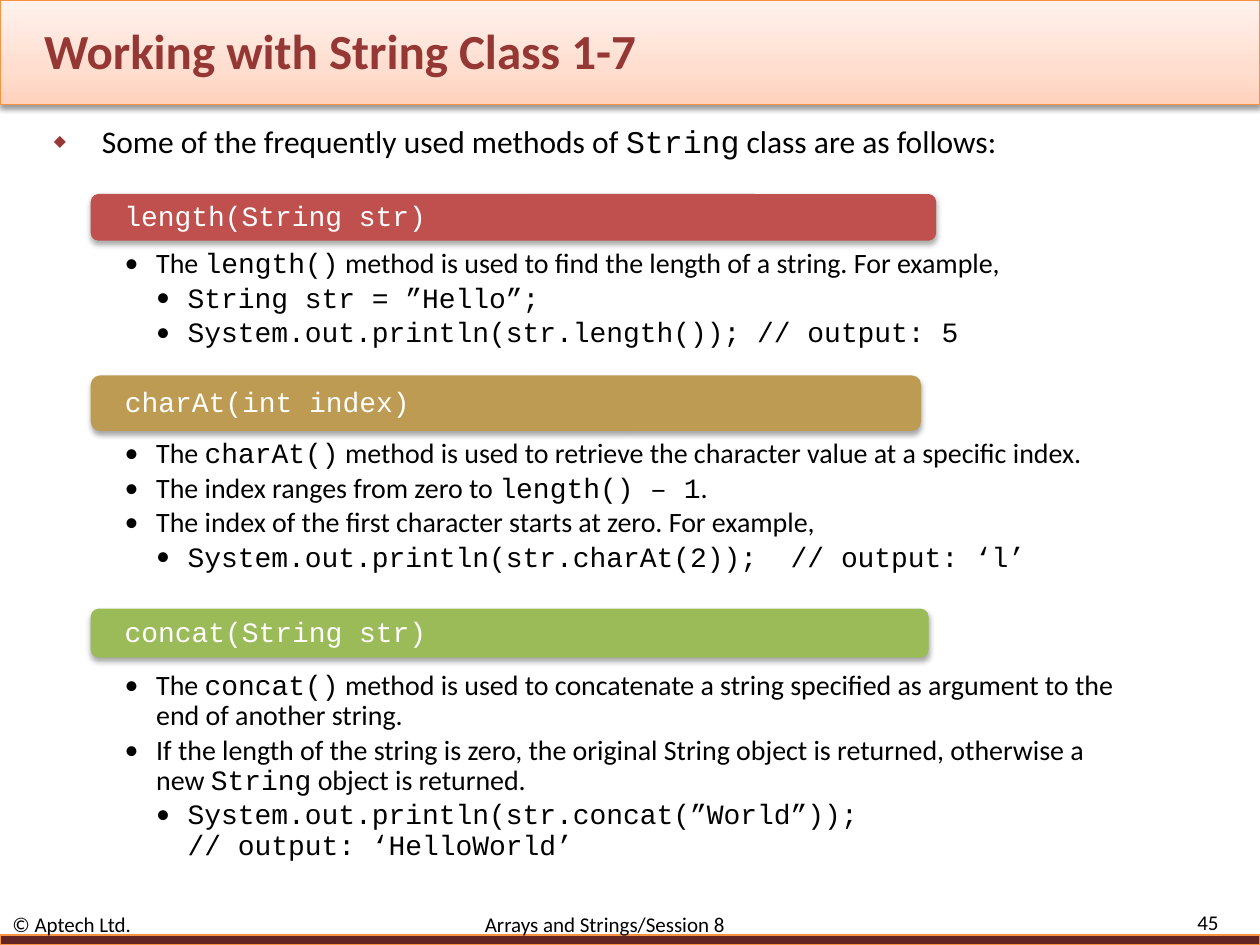
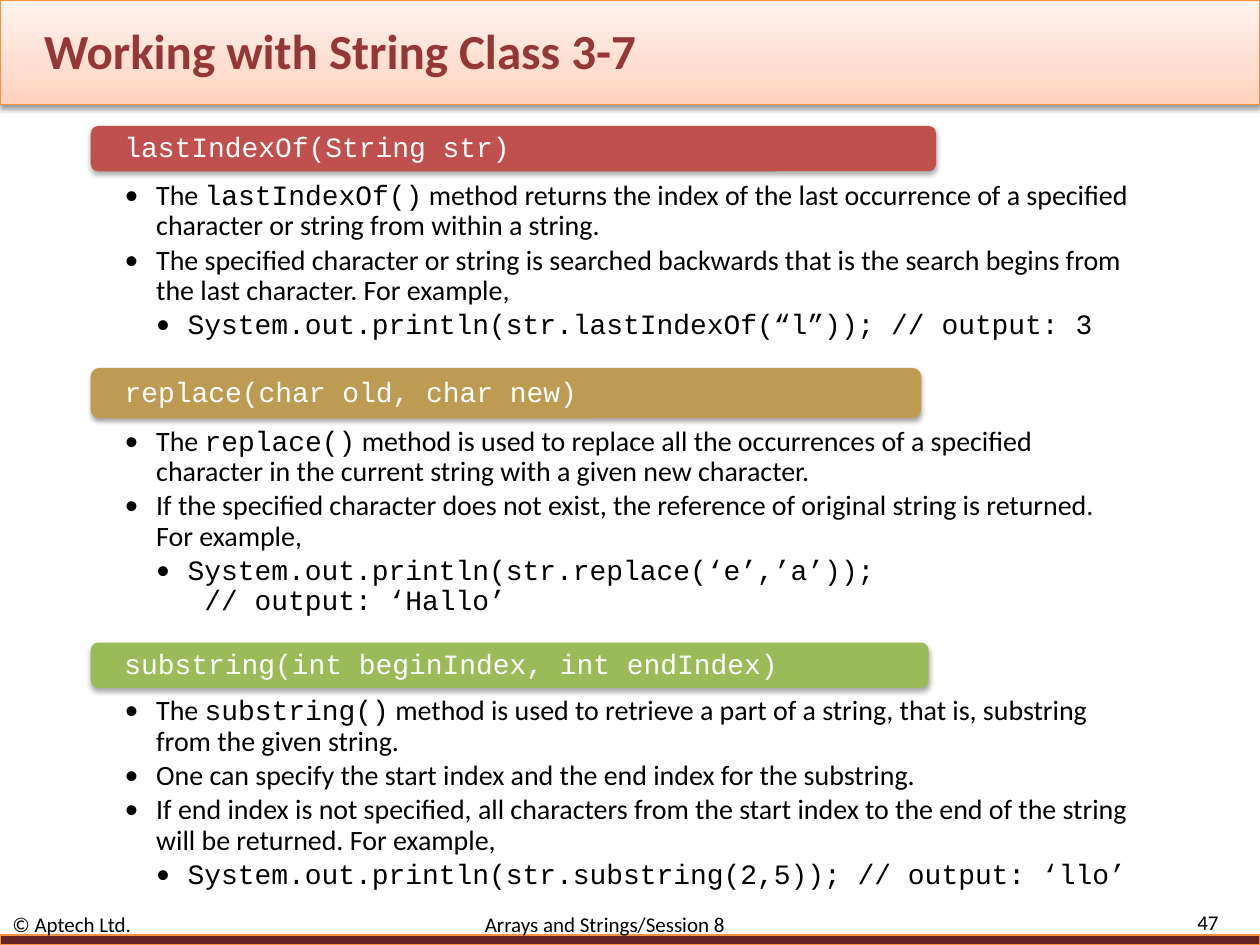
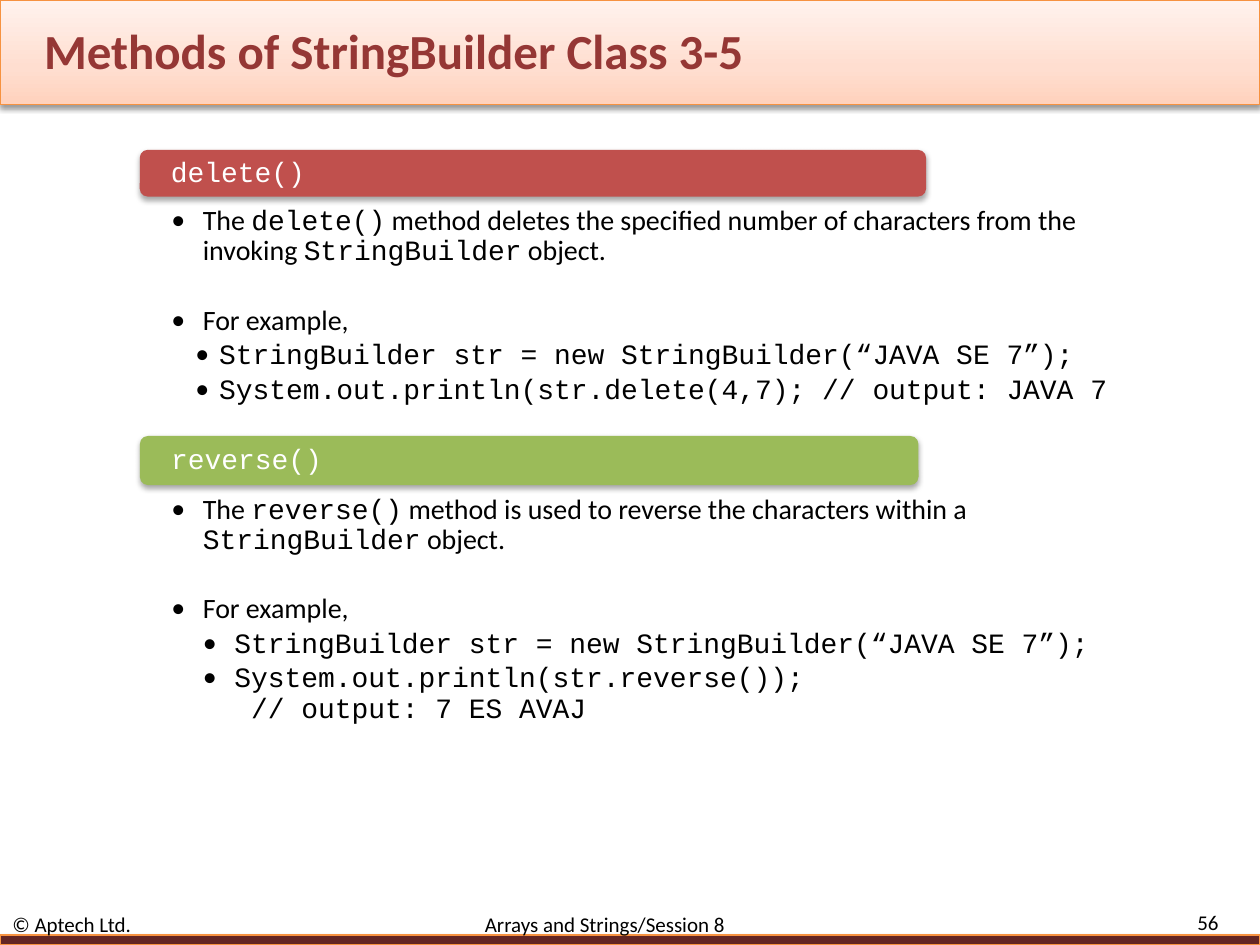
from dataclasses import dataclass

from lxml.etree import SubElement
from pptx import Presentation
from pptx.dml.color import RGBColor
from pptx.enum.shapes import MSO_SHAPE
from pptx.enum.text import MSO_ANCHOR, MSO_AUTO_SIZE, PP_ALIGN
from pptx.oxml.ns import qn
from pptx.util import Inches, Pt


@dataclass(frozen=True)
class Theme:
    text_font: str = "Calibri"
    code_font: str = "Courier New"
    title_size: float = 28
    intro_size: float = 18
    body_size: float = 16
    footer_size: float = 12
    black: str = "000000"
    white: str = "FFFFFF"
    title: str = "953735"
    diamond: str = "973735"
    band_line: str = "F69240"
    bottom_band: str = "632523"
    top_band: tuple = ((0, "FFD2BD"), (35, "FFDED0"), (100, "FFF2ED"))
    red: str = "C0504D"
    gold: str = "BD9B53"
    green: str = "9BBB59"


THEME = Theme()


@dataclass(frozen=True)
class Column:
    """Horizontal layout shared by the method sections of a slide."""
    header_left: float
    header_inset: float
    panel_left: float
    panel_width: float
    panel_inset: float
    panel_top_inset: float


@dataclass(frozen=True)
class Method:
    """A coloured signature bar with notes and code; backticks mark code words."""
    signature: str
    colour: str
    header: tuple  # top, width, height
    panel: tuple  # top, height
    notes: tuple
    code: tuple
    code_indent: tuple = (0.5, 0.25)
    gap_before_last_note: float = 0


WIDE = Column(0.72, 0.25, 0.25, 9.5, 0.74, 0.27)
WIDE_TIGHT = Column(0.72, 0.25, 0.25, 9.5, 0.74, 0.25)
NARROW = Column(1.11, 0.23, 0.67, 8.83, 0.69, 0.27)

STRING_BASICS = (
    Method("length(String str)", THEME.red, (1.54, 6.71, 0.37), (1.71, 1.2),
           ("The `length()` method is used to find the length of a string. For example,",),
           ("String str = ”Hello”;",
            "System.out.println(str.length()); // output: 5")),
    Method("charAt(int index)", THEME.gold, (2.98, 6.59, 0.44), (3.22, 1.53),
           ("The `charAt()` method is used to retrieve the character value at a specific index.",
            "The index ranges from zero to `length() – 1`.",
            "The index of the first character starts at zero. For example,"),
           ("System.out.println(str.charAt(2));  // output: ‘l’",)),
    Method("concat(String str)", THEME.green, (4.83, 6.65, 0.39), (5.06, 1.94),
           ("The `concat()` method is used to concatenate a string specified as argument "
            "to the end of another string.",
            "If the length of the string is zero, the original String object is returned, "
            "otherwise a new `String` object is returned."),
           ("System.out.println(str.concat(”World”));\n// output: ‘HelloWorld’",)),
)

STRING_EDITING = (
    Method("lastIndexOf(String str)", THEME.red, (1, 6.71, 0.36), (1.19, 1.67),
           ("The `lastIndexOf()` method returns the index of the last occurrence of a "
            "specified character or string from within a string.",
            "The specified character or string is searched backwards that is the search "
            "begins from the last character. For example,"),
           ("System.out.println(str.lastIndexOf(“l”)); // output: 3",)),
    Method("replace(char old, char new)", THEME.gold, (2.92, 6.59, 0.4), (3.14, 1.89),
           ("The `replace()` method is used to replace all the occurrences of a specified "
            "character in the current string with a given new character.",
            "If the specified character does not exist, the reference of original string "
            "is returned. For example,"),
           ("System.out.println(str.replace(‘e’,’a’));\n // output: ‘Hallo’",)),
    Method("substring(int beginIndex, int endIndex)", THEME.green,
           (5.1, 6.65, 0.36), (5.28, 1.97),
           ("The `substring()` method is used to retrieve a part of a string, that is, "
            "substring from the given string.",
            "One can specify the start index and the end index for the substring.",
            "If end index is not specified, all characters from the start index to the end "
            "of the string will be returned. For example,"),
           ("System.out.println(str.substring(2,5)); // output: ‘llo’",)),
)

BUILDER_METHODS = (
    Method("delete()", THEME.red, (1.19, 6.24, 0.37), (1.37, 2.03),
           ("The `delete()` method deletes the specified number of characters from the "
            "invoking `StringBuilder` object.",
            "For example,"),
           ("StringBuilder str = new StringBuilder(“JAVA SE 7”);",
            "System.out.println(str.delete(4,7); // output: JAVA 7"),
           code_indent=(0.38, 0.19), gap_before_last_note=20),
    Method("reverse()", THEME.green, (3.46, 6.18, 0.39), (3.66, 2.23),
           ("The `reverse()` method is used to reverse the characters within a "
            "`StringBuilder` object.",
            "For example,"),
           ("StringBuilder str = new StringBuilder(“JAVA SE 7”);",
            "System.out.println(str.reverse());\n // output: 7 ES AVAJ"),
           gap_before_last_note=20),
)


def rgb(colour):
    return RGBColor.from_string(colour)


def set_attributes(target, **values):
    for name, value in values.items():
        setattr(target, name, value)


def format_frame(frame, anchor=MSO_ANCHOR.TOP, insets=(0.1, 0.05, 0.1, 0.05)):
    left, top, right, bottom = map(Inches, insets)
    set_attributes(frame, word_wrap=True, auto_size=MSO_AUTO_SIZE.NONE,
                   vertical_anchor=anchor, margin_left=left, margin_top=top,
                   margin_right=right, margin_bottom=bottom)
    return frame


def add_text_frame(slide, box, **options):
    return format_frame(slide.shapes.add_textbox(*map(Inches, box)).text_frame, **options)


def add_text(paragraph, text, size, colour=THEME.black):
    """Add runs, setting words between backticks in the code font."""
    for index, part in enumerate(text.split("`")):
        font_name = THEME.code_font if index % 2 else THEME.text_font
        for line_number, line in enumerate(part.split("\n")):
            if line_number:
                paragraph.add_line_break()
            if line:
                run = paragraph.add_run()
                run.text = line
                set_attributes(run.font, name=font_name, size=Pt(size))
                run.font.color.rgb = rgb(colour)


def add_bullet(paragraph, margin, hanging, character="•", colour=None, percent=None):
    properties = paragraph._p.get_or_add_pPr()
    properties.set("marL", str(Inches(margin)))
    properties.set("indent", str(-Inches(hanging)))
    if colour:
        SubElement(SubElement(properties, qn("a:buClr")), qn("a:srgbClr"), val=colour)
    if percent:
        SubElement(properties, qn("a:buSzPct"), val=str(percent * 1000))
    SubElement(properties, qn("a:buFont"), typeface=THEME.text_font)
    SubElement(properties, qn("a:buChar"), char=character)


def add_shadow(shape, distance, opacity):
    shape.shadow.inherit = False
    effects = shape.element.spPr.find(qn("a:effectLst"))
    shadow = SubElement(effects, qn("a:outerShdw"), blurRad=str(Pt(3.1)),
                        dist=str(Pt(distance)), dir="5400000", rotWithShape="0")
    colour = SubElement(shadow, qn("a:srgbClr"), val=THEME.black)
    SubElement(colour, qn("a:alpha"), val=str(opacity * 1000))


def add_shadowed_shape(slide, kind, box, fill=None, line=None, distance=1.8, opacity=35):
    shape = slide.shapes.add_shape(kind, *map(Inches, box))
    if fill:
        shape.fill.solid()
        shape.fill.fore_color.rgb = rgb(fill)
    if line:
        shape.line.color.rgb = rgb(line)
        shape.line.width = Pt(0.75)
    else:
        shape.line.fill.background()
    add_shadow(shape, distance, opacity)
    return shape


def fill_upward_gradient(shape, stops):
    shape.fill.gradient()
    shape.fill.gradient_angle = 90
    stop_list = shape.element.spPr.find(qn("a:gradFill")).find(qn("a:gsLst"))
    for stop in list(stop_list):
        stop_list.remove(stop)
    for position, colour in stops:
        stop = SubElement(stop_list, qn("a:gs"), pos=str(position * 1000))
        SubElement(stop, qn("a:srgbClr"), val=colour)


def move_bands_to_layout(slide, layout):
    """Draw the two bands on the slide, then hand them to its layout."""
    for placeholder in list(layout.placeholders):
        if placeholder.placeholder_format.idx >= 10:
            layout.placeholders.element.remove(placeholder.element)
    top_band = add_shadowed_shape(slide, MSO_SHAPE.RECTANGLE, (0, 0, 10, 0.83),
                                  line=THEME.band_line, distance=1.6, opacity=38)
    fill_upward_gradient(top_band, THEME.top_band)
    bottom_band = add_shadowed_shape(slide, MSO_SHAPE.RECTANGLE, (0, 7.42, 10, 0.08),
                                     THEME.bottom_band, THEME.band_line)
    for band in (top_band, bottom_band):
        layout.shapes.element.append(band.element)


def set_title(slide, text):
    title = slide.shapes.title
    set_attributes(title, left=Inches(0.25), top=Inches(0.17),
                   width=Inches(8.33), height=Inches(0.45))
    paragraph = format_frame(title.text_frame, MSO_ANCHOR.MIDDLE).paragraphs[0]
    paragraph.alignment = PP_ALIGN.LEFT
    add_text(paragraph, text, THEME.title_size, THEME.title)
    paragraph.runs[0].font.bold = True


def add_footer(slide, number):
    page = add_text_frame(slide, (8.92, 7.23, 0.85, 0.18), anchor=MSO_ANCHOR.MIDDLE)
    page.paragraphs[0].alignment = PP_ALIGN.RIGHT
    add_text(page.paragraphs[0], str(number), THEME.footer_size)

    footer = add_text_frame(slide, (0, 7.25, 8.83, 0.17), anchor=MSO_ANCHOR.MIDDLE)
    paragraph = footer.paragraphs[0]
    tabs = SubElement(paragraph._p.get_or_add_pPr(), qn("a:tabLst"))
    SubElement(tabs, qn("a:tab"), pos=str(Inches(3.75)), algn="l")
    add_text(paragraph, "© Aptech Ltd.\tArrays and Strings/Session 8", THEME.footer_size)


def add_intro(slide, text):
    paragraph = add_text_frame(slide, (0.33, 0.92, 9.42, 0.5)).paragraphs[0]
    add_bullet(paragraph, 0.38, 0.38, "◆", THEME.diamond, 50)
    add_text(paragraph, text, THEME.intro_size)


def add_panel(slide, column, method):
    top, height = method.panel
    inset = column.panel_inset
    frame = add_text_frame(slide, (column.panel_left, top, column.panel_width, height),
                           insets=(inset, column.panel_top_inset, inset, 0.12))
    lines = [(note, (0.25, 0.25)) for note in method.notes]
    lines += [(f"`{code}`", method.code_indent) for code in method.code]
    for index, (text, indent) in enumerate(lines):
        paragraph = frame.add_paragraph() if index else frame.paragraphs[0]
        add_bullet(paragraph, *indent)
        set_attributes(paragraph, line_spacing=0.9, space_after=Pt(0.15 * THEME.body_size))
        if method.gap_before_last_note and index == len(method.notes) - 1:
            paragraph.space_before = Pt(method.gap_before_last_note)
        add_text(paragraph, text, THEME.body_size)


def add_header(slide, column, method):
    top, width, height = method.header
    bar = add_shadowed_shape(slide, MSO_SHAPE.ROUNDED_RECTANGLE,
                             (column.header_left, top, width, height), method.colour)
    inset = column.header_inset
    frame = format_frame(bar.text_frame, MSO_ANCHOR.MIDDLE, (inset, 0, inset, 0))
    paragraph = frame.paragraphs[0]
    set_attributes(paragraph, alignment=PP_ALIGN.LEFT, line_spacing=0.9)
    add_text(paragraph, f"`{method.signature}`", THEME.body_size, THEME.white)


def add_method_slide(presentation, layout, title, number, column, methods, intro=None):
    slide = presentation.slides.add_slide(layout)
    if len(presentation.slides) == 1:
        move_bands_to_layout(slide, layout)
    set_title(slide, title)
    add_footer(slide, number)
    if intro:
        add_intro(slide, intro)
    for method in methods:
        add_panel(slide, column, method)
        add_header(slide, column, method)


def main():
    presentation = Presentation()
    set_attributes(presentation, slide_width=Inches(10), slide_height=Inches(7.5))
    layout = presentation.slide_layouts.get_by_name("Title Only")
    add_method_slide(presentation, layout, "Working with String Class 1-7", 45,
                     WIDE, STRING_BASICS,
                     "Some of the frequently used methods of `String` class are as follows:")
    add_method_slide(presentation, layout, "Working with String Class 3-7", 47,
                     WIDE_TIGHT, STRING_EDITING)
    add_method_slide(presentation, layout, "Methods of StringBuilder Class 3-5", 56,
                     NARROW, BUILDER_METHODS)
    presentation.save("out.pptx")


if __name__ == "__main__":
    main()
